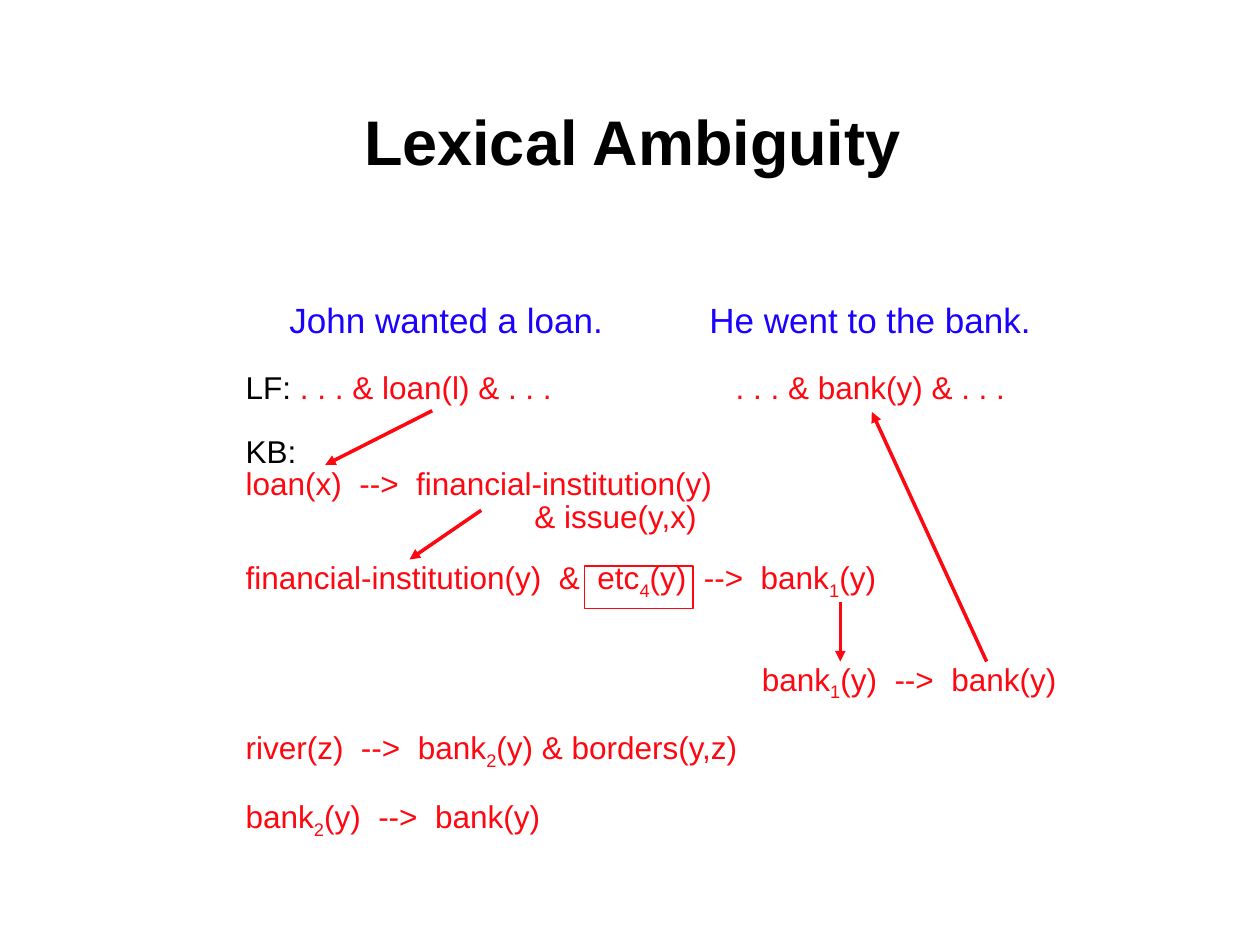
import dataclasses

import pptx
import pptx.dml.color
import pptx.enum.shapes
import pptx.enum.text
import pptx.oxml
import pptx.oxml.ns
import pptx.util

Pt = pptx.util.Pt
Align = pptx.enum.text.PP_ALIGN
Anchor = pptx.enum.text.MSO_ANCHOR


@dataclasses.dataclass(frozen=True)
class Theme:
    font: str = "Arial"
    black: str = "000000"
    blue: str = "1B02FF"
    red: str = "FF0710"
    head: int = 36
    lead: int = 20
    body: int = 18
    step: float = 18.7


@dataclasses.dataclass
class Row:
    """One line: an underscore lowers the next character, tabs lists stops."""
    text: str
    gap: float = 0
    label: str = ""
    tabs: tuple = ()
    lead: bool = False


ROWS = [
    Row("\tJohn wanted a loan.\tHe went to the bank.", tabs=(25, 265), lead=True),
    Row(". . . & loan(l) & . . .\t. . . & bank(y) & . . .", 18.2, "LF: ", (280,)),
    Row("", 17.8, "KB:"),
    Row("loan(x)  -->  financial-institution(y)"),
    Row("\t& issue(y,x)", tabs=(165,)),
    Row("financial-institution(y)  &  etc_4(y)  -->  bank_1(y)", 19.3),
    Row("\tbank_1(y)  -->  bank(y)", 39.1, tabs=(295,)),
    Row("river(z)  -->  bank_2(y) & borders(y,z)", 20.5),
    Row("bank_2(y)  -->  bank(y)", 20.5),
]

ARROWS = [
    (275, 291.6, 234, 319.7),
    (247, 234.7, 185.8, 265.7),
    (480.2, 344.2, 480.2, 378),
    (563.8, 378, 498.2, 235.4),
]


def make(tag, **attrs):
    node = pptx.oxml.parse_xml(f"<a:{tag} {pptx.oxml.ns.nsdecls('a')}/>")
    for name, value in attrs.items():
        node.set(name, str(value))
    return node


def color(code):
    return pptx.dml.color.RGBColor.from_string(code)


class Deck:
    def __init__(self, theme):
        self.theme = theme
        self.show = pptx.Presentation()
        self.show.slide_width, self.show.slide_height = Pt(720), Pt(540)
        self.slide = self.show.slides.add_slide(self.show.slide_layouts[5])

    def style(self, run, size, code, bold=False):
        run.font.name, run.font.size = self.theme.font, Pt(size)
        run.font.color.rgb = color(code)
        run.font.bold = bold

    def frame(self, shape, top=2.5):
        frame = shape.text_frame
        frame.word_wrap = True
        frame.auto_size = pptx.enum.text.MSO_AUTO_SIZE.NONE
        frame.margin_left = frame.margin_right = Pt(5)
        frame.margin_top, frame.margin_bottom = Pt(top), Pt(2.5)
        return frame

    def title(self, text, left, top, width, height):
        shape = self.slide.shapes.title
        shape.left, shape.top = Pt(left), Pt(top)
        shape.width, shape.height = Pt(width), Pt(height)
        frame = self.frame(shape)
        frame.text = text
        frame.vertical_anchor = Anchor.MIDDLE
        para = frame.paragraphs[0]
        para.alignment, para.line_spacing = Align.CENTER, 0.95
        self.style(para.runs[0], self.theme.head, self.theme.black, True)

    def rows(self, rows, left, top, width, height, inset):
        box = self.slide.shapes.add_textbox(Pt(left), Pt(top), Pt(width), Pt(height))
        frame = self.frame(box, inset)
        frame.vertical_anchor = Anchor.TOP
        for index, row in enumerate(rows):
            para = frame.add_paragraph() if index else frame.paragraphs[0]
            self.row(para, row)

    def row(self, para, row):
        theme = self.theme
        size = theme.lead if row.lead else theme.body
        code = theme.blue if row.lead else theme.red
        para.alignment = Align.LEFT
        para.line_spacing, para.space_before = Pt(theme.step), Pt(row.gap)
        if row.tabs:
            stops = make("tabLst")
            for stop in row.tabs:
                stops.append(make("tab", pos=int(Pt(stop)), algn="l"))
            para._p.get_or_add_pPr().append(stops)
        first, *rest = row.text.split("_")
        parts = [(row.label, theme.black, False), (first, code, False)]
        for part in rest:
            parts += [(part[0], code, True), (part[1:], code, False)]
        for text, tint, low in parts:
            if text:
                run = para.add_run()
                run.text = text
                self.style(run, size, tint)
                if low:
                    run.font._element.set("baseline", "-25000")

    def arrow(self, *ends):
        kind = pptx.enum.shapes.MSO_CONNECTOR.STRAIGHT
        line = self.slide.shapes.add_connector(kind, *map(Pt, ends))
        line.line.color.rgb, line.line.width = color(self.theme.red), Pt(2)
        line.line._get_or_add_ln().append(make("tailEnd", type="triangle"))
        line._element.spPr.append(make("effectLst"))

    def frame_box(self, *place):
        kind = pptx.enum.shapes.MSO_SHAPE.RECTANGLE
        box = self.slide.shapes.add_shape(kind, *map(Pt, place))
        box.shadow.inherit = False
        box.fill.background()
        box.line.color.rgb, box.line.width = color(self.theme.red), Pt(1)


def main():
    deck = Deck(Theme())
    deck.title("Lexical Ambiguity", 202.3, 59.8, 318.2, 45.4)
    deck.rows(ROWS, 135.4, 132.5, 476, 350, 43.6)
    for ends in ARROWS:
        deck.arrow(*ends)
    deck.frame_box(334.1, 323.3, 61.9, 24.5)
    deck.show.save("out.pptx")


if __name__ == "__main__":
    main()
